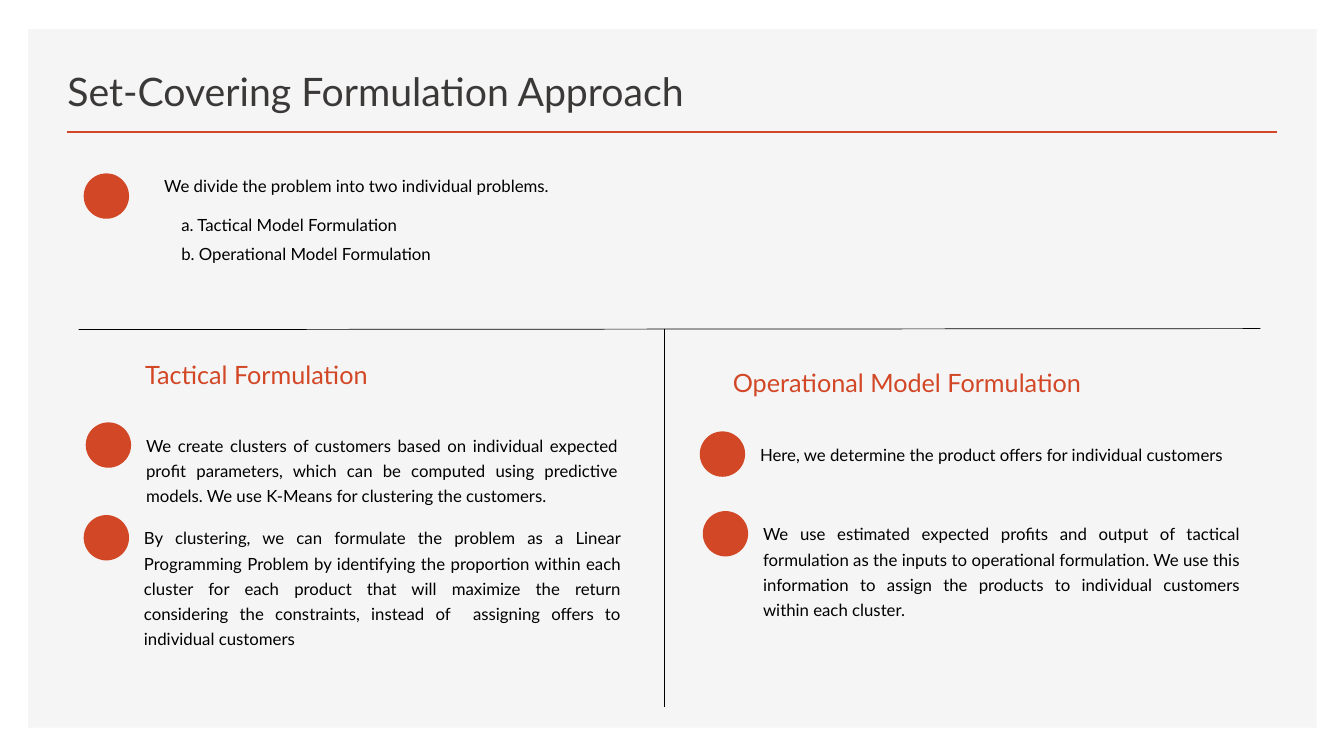
import pptx
import pptx.util
import pptx.dml.color
import pptx.enum.shapes
import pptx.enum.text
import pptx.oxml.ns
import lxml.etree

PX = 9144  # EMU per px, 100 px to the inch
ACCENT = "D24726"
BLACK = "000000"
DOT = 45
ALIGN = pptx.enum.text.PP_ALIGN
ANCHOR = pptx.enum.text.MSO_ANCHOR


def px(*lengths):
    return [pptx.util.Emu(n * PX) for n in lengths]


def rgb(color):
    return pptx.dml.color.RGBColor.from_string(color)


def add_filled(s, kind, x, y, w, h, color):
    sp = s.shapes.add_shape(kind, *px(x, y, w, h))
    sp.shadow.inherit = False
    sp.fill.solid()
    sp.fill.fore_color.rgb = rgb(color)
    sp.line.fill.background()


def add_dot(s, x, y):
    add_filled(s, pptx.enum.shapes.MSO_SHAPE.OVAL, x, y, DOT, DOT, ACCENT)


def add_line(s, x1, y1, x2, y2, color=BLACK, width=0.5):
    straight = pptx.enum.shapes.MSO_CONNECTOR.STRAIGHT
    cn = s.shapes.add_connector(straight, *px(x1, y1, x2, y2))
    cn.line.color.rgb = rgb(color)
    cn.line.width = pptx.util.Pt(width)
    lxml.etree.SubElement(cn._element.spPr, pptx.oxml.ns.qn("a:effectLst"))


def add_box(s, x, y, w, h, anchor=ANCHOR.TOP):
    tf = s.shapes.add_textbox(*px(x, y, w, h)).text_frame
    tf.word_wrap = True
    tf.vertical_anchor = anchor
    return tf


def add_text(tf, text, size=12, color=BLACK, align=ALIGN.LEFT, before=0,
             after=0, spacing=None, indent=0):
    p = tf.paragraphs[0]
    if p.runs:
        p = tf.add_paragraph()
    p.alignment = align
    p.space_before = pptx.util.Pt(before)
    p.space_after = pptx.util.Pt(after)
    p.line_spacing = spacing
    if indent:
        p._p.get_or_add_pPr().set("marL", str(indent * PX))
    r = p.add_run()
    r.text = text
    r.font.name = "Lato"
    r.font.size = pptx.util.Pt(size)
    r.font.color.rgb = rgb(color)


def add_heading(s, x, y, w, text):
    add_text(add_box(s, x, y, w, 40), text, size=18, color=ACCENT)


def add_point(s, x, y, w, h, after, text):
    """A dot with a justified paragraph to its right."""
    add_dot(s, x, y)
    add_text(add_box(s, x + 50, y + 3, w, h), text, align=ALIGN.JUSTIFY,
             before=10, after=after, spacing=pptx.util.Pt(18))


def main():
    prs = pptx.Presentation()
    prs.slide_width, prs.slide_height = px(1333, 750)
    s = prs.slides.add_slide(prs.slide_layouts[6])

    # Panel and title
    add_filled(s, pptx.enum.shapes.MSO_SHAPE.RECTANGLE,
               28, 29, 1278, 693, "F5F5F5")
    add_line(s, 66, 131, 1267, 131, ACCENT, 2)
    add_text(add_box(s, 57, 49, 752, 70, ANCHOR.BOTTOM),
             "Set-Covering Formulation Approach",
             size=28, color="3B3838", spacing=0.9)

    # Introduction
    add_dot(s, 83, 172)
    tf = add_box(s, 153, 169, 495, 148)
    add_text(tf, "We divide the problem into two individual problems.",
             before=3, after=3)
    add_text(tf, "a. Tactical Model Formulation", before=11, after=3, indent=17)
    add_text(tf, "b. Operational Model Formulation", before=3, after=3, indent=17)

    # Tactical column
    add_point(s, 85, 419, 488, 83, 6,
              "We create clusters of customers based on individual expected "
              "profit parameters, which can be computed using predictive "
              "models. We use K-Means for clustering the customers.")
    add_point(s, 83, 511, 493, 155, 20,
              "By clustering, we can formulate the problem as a Linear "
              "Programming Problem by identifying the proportion within each "
              "cluster for each product that will maximize the return "
              "considering the constraints, instead of  assigning offers to "
              "individual customers")
    add_heading(s, 134, 352, 300, "Tactical Formulation")

    # Operational column
    add_point(s, 694, 428, 488, 83, 6,
              "Here, we determine the product offers for individual customers")
    add_point(s, 697, 507, 493, 155, 20,
              "We use estimated expected profits and output of tactical "
              "formulation as the inputs to operational formulation. We use "
              "this information to assign the products to individual "
              "customers within each cluster.")
    add_heading(s, 717, 359, 395, "Operational Model Formulation")

    # Dividers
    add_line(s, 78, 327, 1250, 326)
    add_line(s, 659, 326, 659, 701)

    prs.save("out.pptx")


if __name__ == "__main__":
    main()
